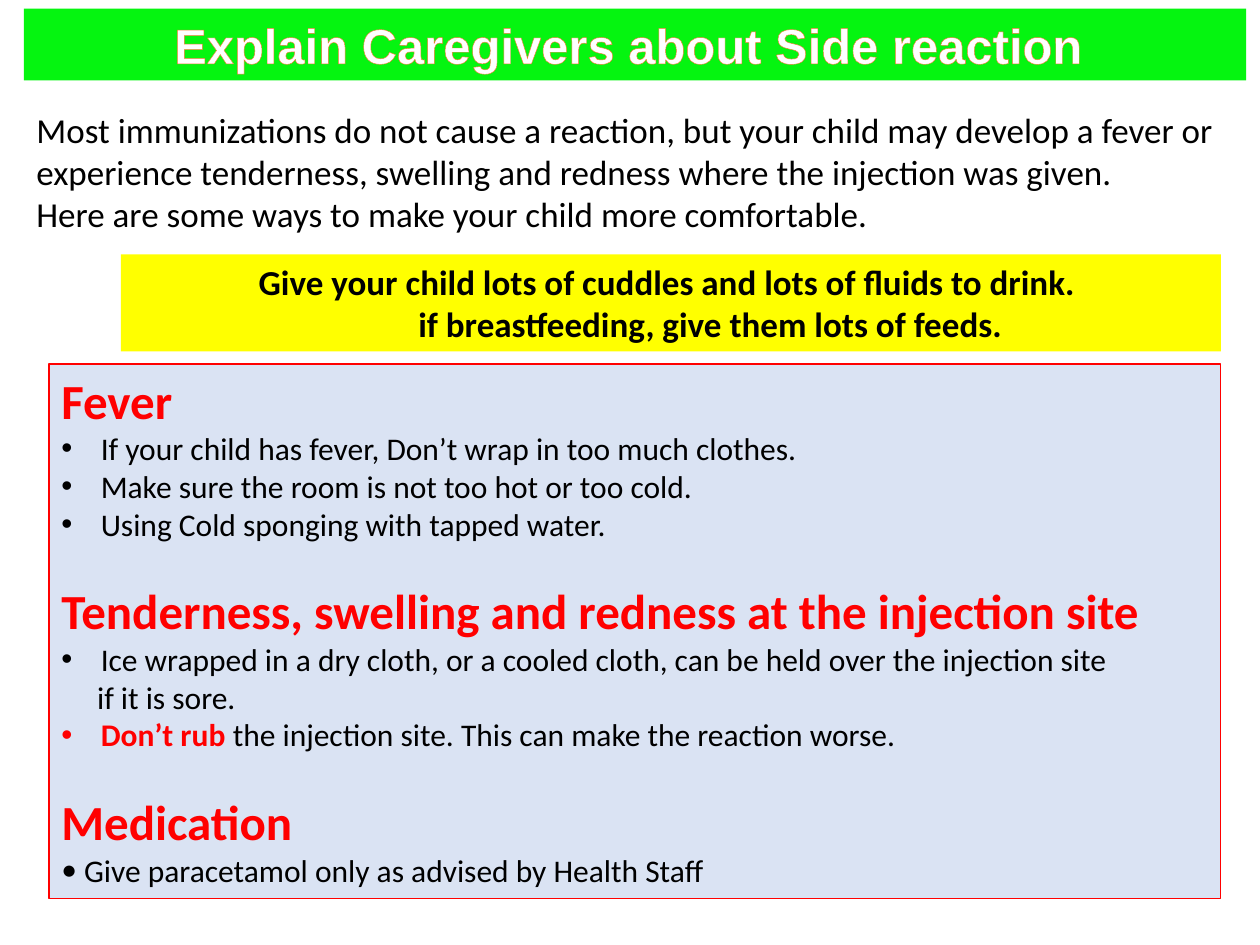
from lxml.etree import SubElement
from pptx import Presentation
from pptx.dml.color import RGBColor
from pptx.enum.shapes import MSO_SHAPE
from pptx.enum.text import MSO_ANCHOR, MSO_AUTO_SIZE, PP_ALIGN
from pptx.oxml import parse_xml
from pptx.oxml.ns import nsdecls, qn
from pptx.util import Pt

COLORS = {
    "white": "FFFFFF", "black": "000000", "red": "FF0000", "green": "05F510",
    "yellow": "FFFF00", "pale_blue": "DAE3F3", "orange": "ED7D31",
}
BODY = {"name": "Calibri", "size": Pt(18), "bold": False, "color": "black"}
INTRO = {**BODY, "size": Pt(20)}
ADVICE = {**INTRO, "bold": True}
WARNING = {**BODY, "bold": True, "color": "red"}
HEADING = {**WARNING, "size": Pt(28)}
TITLE = {"name": "Arial", "size": Pt(28), "bold": True, "color": "white"}
CENTERED = {"alignment": PP_ALIGN.CENTER}
SECTION_GAP = {"space_before": Pt(22)}


def rgb(name):
    return RGBColor.from_string(COLORS[name])


def set_frame(box):
    frame = box.text_frame
    settings = {"word_wrap": True, "auto_size": MSO_AUTO_SIZE.SHAPE_TO_FIT_TEXT,
                "vertical_anchor": MSO_ANCHOR.TOP}
    for key, value in settings.items():
        setattr(frame, key, value)
    return frame


def add_text_box(page, place):
    return set_frame(page.shapes.add_textbox(*map(Pt, place)))


def add_panel(page, place, fill, line=None):
    box = page.shapes.add_shape(MSO_SHAPE.RECTANGLE, *map(Pt, place))
    box.shadow.inherit = False
    box.fill.solid()
    box.fill.fore_color.rgb = rgb(fill)
    if line:
        box.line.color.rgb = rgb(line)
        box.line.width = Pt(0.75)
    else:
        box.line.fill.background()
    return set_frame(box)


def add_para(frame, spans, layout=None):
    """Add a paragraph made of (text, style) spans."""
    first = frame.paragraphs[0]
    para = frame.add_paragraph() if first.runs else first
    for key, value in {"alignment": PP_ALIGN.LEFT, **(layout or {})}.items():
        setattr(para, key, value)
    for text, style in spans:
        span = para.add_run()
        span.text = text
        for key, value in style.items():
            if key == "color":
                span.font.color.rgb = rgb(value)
            else:
                setattr(span.font, key, value)
    return para


def indent(para, left, hanging=0):
    props = para._p.get_or_add_pPr()
    props.set("marL", str(Pt(left)))
    props.set("indent", str(-Pt(hanging)))
    return props


def add_bullet(frame, spans, hanging=22.5, font="Arial"):
    props = indent(add_para(frame, spans), hanging, hanging)
    SubElement(props, qn("a:buFont")).set("typeface", font)
    SubElement(props, qn("a:buChar")).set("char", "•")


def outline_text(span, color, width):
    span._r.get_or_add_rPr().insert(0, parse_xml(
        f'<a:ln {nsdecls("a")} w="{Pt(width)}"><a:solidFill>'
        f'<a:srgbClr val="{COLORS[color]}"/></a:solidFill></a:ln>'))


def add_care_panel(page):
    frame = add_panel(page, (28, 208, 669.6, 305.5), "pale_blue", "red")

    # Fever
    add_para(frame, [("Fever", HEADING)])
    for text in ("If your child has fever, Don’t wrap in too much clothes.",
                 "Make sure the room is not too hot or too cold.",
                 "Using Cold sponging with tapped water."):
        add_bullet(frame, [(text, BODY)])

    # Injection site
    add_para(frame, [("Tenderness, swelling and redness at the injection site",
                      HEADING)], SECTION_GAP)
    add_bullet(frame, [("Ice wrapped in a dry cloth, or a cooled cloth, "
                        "can be held over the injection site", BODY)])
    indent(add_para(frame, [("if it is sore.", BODY)]), 20.4)
    add_bullet(frame, [("Don’t rub ", WARNING),
                       ("the injection site. This can make the reaction worse.", BODY)])

    # Medication
    add_para(frame, [("Medication", HEADING)], SECTION_GAP)
    add_bullet(frame, [("Give paracetamol only as advised by Health Staff", BODY)],
               13, "Calibri")


def main():
    deck = Presentation()
    deck.slide_width, deck.slide_height = Pt(720), Pt(540)
    page = deck.slides.add_slide(deck.slide_layouts[6])

    # Introduction
    intro = add_text_box(page, (13.7, 58.3, 690.5, 80))
    for text in ("Most immunizations do not cause a reaction, "
                 "but your child may develop a fever or",
                 "experience tenderness, swelling and redness "
                 "where the injection was given.",
                 "Here are some ways to make your child more comfortable."):
        add_para(intro, [(text, INTRO)])

    # Title bar
    title = add_panel(page, (13.7, 5, 698.4, 41), "green")
    heading = add_para(title, [("Explain Caregivers about Side reaction ", TITLE)],
                       CENTERED)
    outline_text(heading.runs[0], "orange", 0.52)

    # Care instructions
    add_care_panel(page)

    # General advice
    advice = add_panel(page, (69.1, 145.4, 628.6, 55.4), "yellow")
    add_para(advice, [("Give your child lots of cuddles and lots of fluids to drink. ",
                       ADVICE)], CENTERED)
    feeding = add_para(advice, [("if breastfeeding, give them lots of feeds.", ADVICE)],
                       CENTERED)
    indent(feeding, 45)

    deck.save("out.pptx")


if __name__ == "__main__":
    main()
